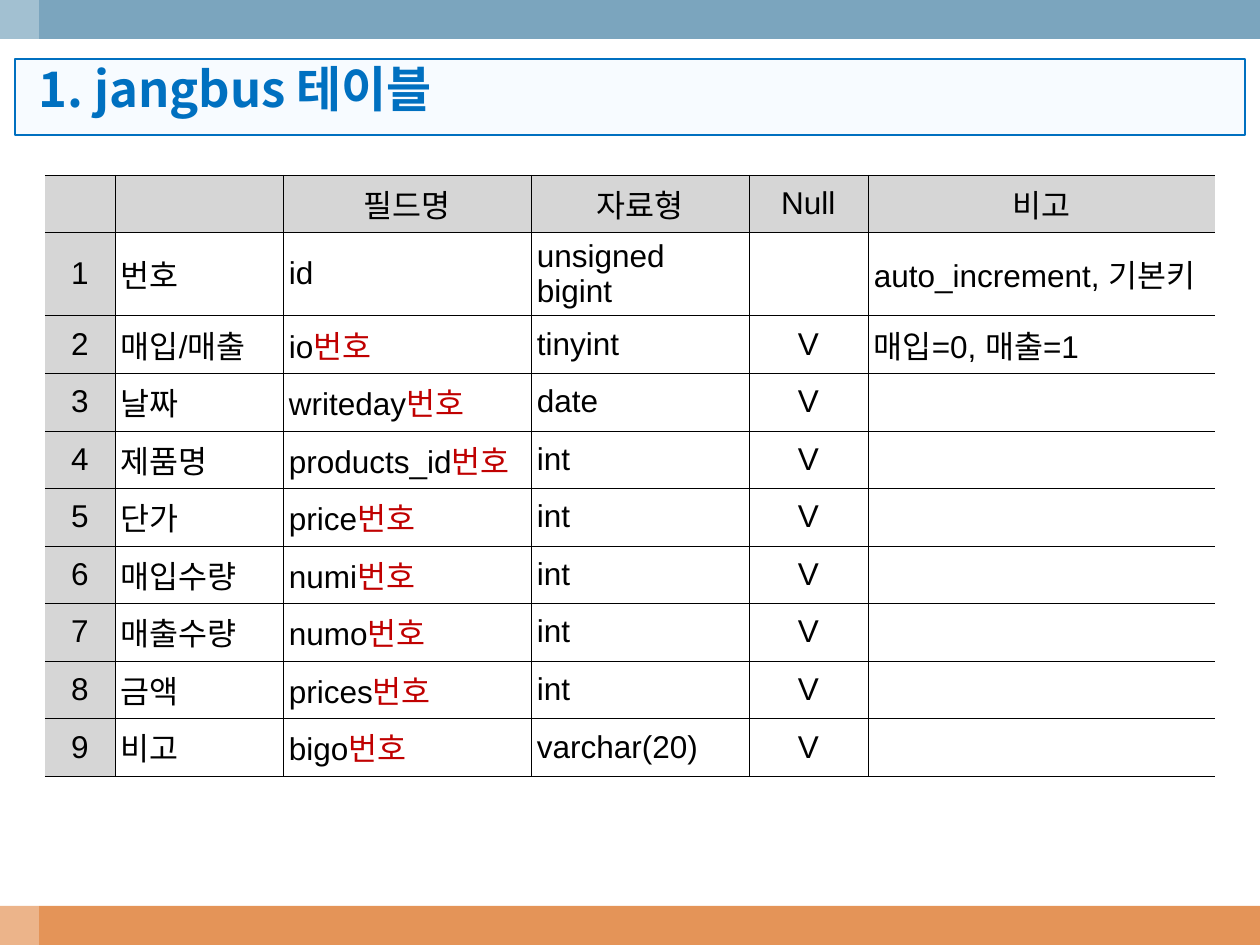
from dataclasses import dataclass
from typing import NamedTuple

from lxml import etree
from pptx import Presentation
from pptx.dml.color import RGBColor
from pptx.enum.shapes import MSO_SHAPE
from pptx.enum.text import MSO_ANCHOR, PP_ALIGN
from pptx.oxml.ns import qn
from pptx.util import Pt

RECTANGLE = MSO_SHAPE.RECTANGLE
TOP, MIDDLE = MSO_ANCHOR.TOP, MSO_ANCHOR.MIDDLE
LEFT, CENTER = PP_ALIGN.LEFT, PP_ALIGN.CENTER
PX = 914400 / 126  # EMU in one px


@dataclass(frozen=True)
class Theme:
    sky: str = "7BA5BE"
    orange: str = "E49458"
    white: str = "FFFFFF"
    black: str = "000000"
    red: str = "C00000"
    blue: str = "0070C0"
    pale: str = "F7FBFF"
    gray: str = "D6D6D6"
    body_font: str = "Arial"
    korean_font: str = "Noto Sans CJK KR"
    title_size: int = 28
    body_size: int = 18
    strip_alpha: int = 30
    title_line: float = 1.5
    grid_line: float = 0.11


THEME = Theme()


class Box(NamedTuple):
    left: int
    top: int
    width: int
    height: int


class Span(NamedTuple):
    text: str
    color: str = THEME.black


class Field(NamedTuple):
    label: str
    name: str
    kind: str
    note: str = ""
    key: bool = False  # the key has no red suffix and no null mark


SLIDE = Box(0, 0, 1260, 945)
BAND = 39
TITLE = Box(15, 59, 1230, 76)
TABLE_LEFT, TABLE_TOP = 45, 175
COLUMNS = (70, 168, 248, 218, 119, 347)
ROW, TALL_ROW = 48, 83
CELL_INSET = 6
HEADERS = ("", "", "필드명", "자료형", "Null", "비고")
ALIGNMENTS = (CENTER, LEFT, LEFT, LEFT, CENTER, LEFT)
FIELDS = (
    Field("번호", "id", "unsigned bigint", "auto_increment, 기본키", True),
    Field("매입/매출", "io", "tinyint", "매입=0, 매출=1"),
    Field("날짜", "writeday", "date"),
    Field("제품명", "products_id", "int"),
    Field("단가", "price", "int"),
    Field("매입수량", "numi", "int"),
    Field("매출수량", "numo", "int"),
    Field("금액", "prices", "int"),
    Field("비고", "bigo", "varchar(20)"),
)


def emu(px: int) -> int:
    return round(px * PX)


def apply(target, formats: dict) -> None:
    for name, value in formats.items():
        setattr(target, name, value)


def add_span(para, span: Span, size: int, font: str, bold: bool = False) -> None:
    run = para.add_run()
    run.text = span.text
    apply(run.font, {"size": Pt(size), "name": font, "bold": bold})
    run.font.color.rgb = RGBColor.from_string(span.color)
    east_asian = etree.SubElement(run.font._element, qn("a:ea"))
    east_asian.set("typeface", THEME.korean_font)


def add_rectangle(page, box: Box, color: str):
    shape = page.shapes.add_shape(RECTANGLE, *map(emu, box))
    shape.shadow.inherit = False
    shape.fill.solid()
    shape.fill.fore_color.rgb = RGBColor.from_string(color)
    shape.line.fill.background()
    return shape


def add_frame(page) -> None:
    add_rectangle(page, Box(0, SLIDE.height - BAND, SLIDE.width, BAND), THEME.orange)
    add_rectangle(page, Box(0, 0, SLIDE.width, BAND), THEME.sky)
    strip = add_rectangle(page, Box(0, 0, BAND, SLIDE.height), THEME.white)
    color = strip._element.spPr.find(qn("a:solidFill"))[0]
    etree.SubElement(color, qn("a:alpha")).set("val", str(THEME.strip_alpha * 1000))


def add_title(page, text: str) -> None:
    shape = add_rectangle(page, TITLE, THEME.pale)
    shape.line.color.rgb = RGBColor.from_string(THEME.blue)
    shape.line.width = Pt(THEME.title_line)
    frame = shape.text_frame
    apply(frame, {"word_wrap": True, "vertical_anchor": TOP,
                  "margin_top": 0, "margin_bottom": 0})
    para = frame.paragraphs[0]
    para.alignment = LEFT
    add_span(para, Span(text, THEME.blue), THEME.title_size, THEME.korean_font, True)


def set_borders(cell, hidden: str) -> None:
    """Draw thin lines on every side except the hidden one."""
    properties = cell._tc.get_or_add_tcPr()
    for index, side in enumerate("LRTB"):
        line = etree.Element(qn(f"a:ln{side}"), w=str(Pt(THEME.grid_line)))
        properties.insert(index, line)
        if side == hidden:
            etree.SubElement(line, qn("a:noFill"))
        else:
            fill = etree.SubElement(line, qn("a:solidFill"))
            etree.SubElement(fill, qn("a:srgbClr")).set("val", THEME.black)


def fill_cell(cell, spans: list[Span], align, color: str, hidden: str) -> None:
    apply(cell, {f"margin_{side}": emu(CELL_INSET)
                 for side in ("left", "right", "top", "bottom")})
    cell.vertical_anchor = MIDDLE
    cell.fill.solid()
    cell.fill.fore_color.rgb = RGBColor.from_string(color)
    set_borders(cell, hidden)
    para = cell.text_frame.paragraphs[0]
    para.alignment = align
    para.font.size = Pt(THEME.body_size)
    for span in spans:
        if span.text:
            add_span(para, span, THEME.body_size, THEME.body_font)


def field_cells(number: int, field: Field) -> list[list[Span]]:
    suffix = "" if field.key else "번호"
    null_mark = "" if field.key else "V"
    return [[Span(str(number))], [Span(field.label)],
            [Span(field.name), Span(suffix, THEME.red)],
            [Span(field.kind)], [Span(null_mark)], [Span(field.note)]]


def add_field_table(page) -> None:
    rows = [[[Span(text)] for text in HEADERS]]
    rows += [field_cells(number, field) for number, field in enumerate(FIELDS, 1)]
    heights = [TALL_ROW if index == 1 else ROW for index in range(len(rows))]
    box = Box(TABLE_LEFT, TABLE_TOP, sum(COLUMNS), sum(heights))
    table = page.shapes.add_table(len(rows), len(COLUMNS), *map(emu, box)).table
    apply(table, {"first_row": False, "horz_banding": False})
    for column, width in zip(table.columns, COLUMNS):
        column.width = emu(width)
    for row, height in zip(table.rows, heights):
        row.height = emu(height)
    # The outer left and right edges stay open
    open_sides = {0: "L", len(COLUMNS) - 1: "R"}
    for y, cells in enumerate(rows):
        for x, spans in enumerate(cells):
            align = CENTER if y == 0 else ALIGNMENTS[x]
            color = THEME.gray if y == 0 or x == 0 else THEME.white
            fill_cell(table.cell(y, x), spans, align, color, open_sides.get(x, ""))


def main() -> None:
    deck = Presentation()
    apply(deck, {"slide_width": emu(SLIDE.width), "slide_height": emu(SLIDE.height)})
    page = deck.slides.add_slide(deck.slide_layouts[6])
    add_frame(page)
    add_field_table(page)
    add_title(page, " 1. jangbus 테이블")
    deck.save("out.pptx")


if __name__ == "__main__":
    main()
